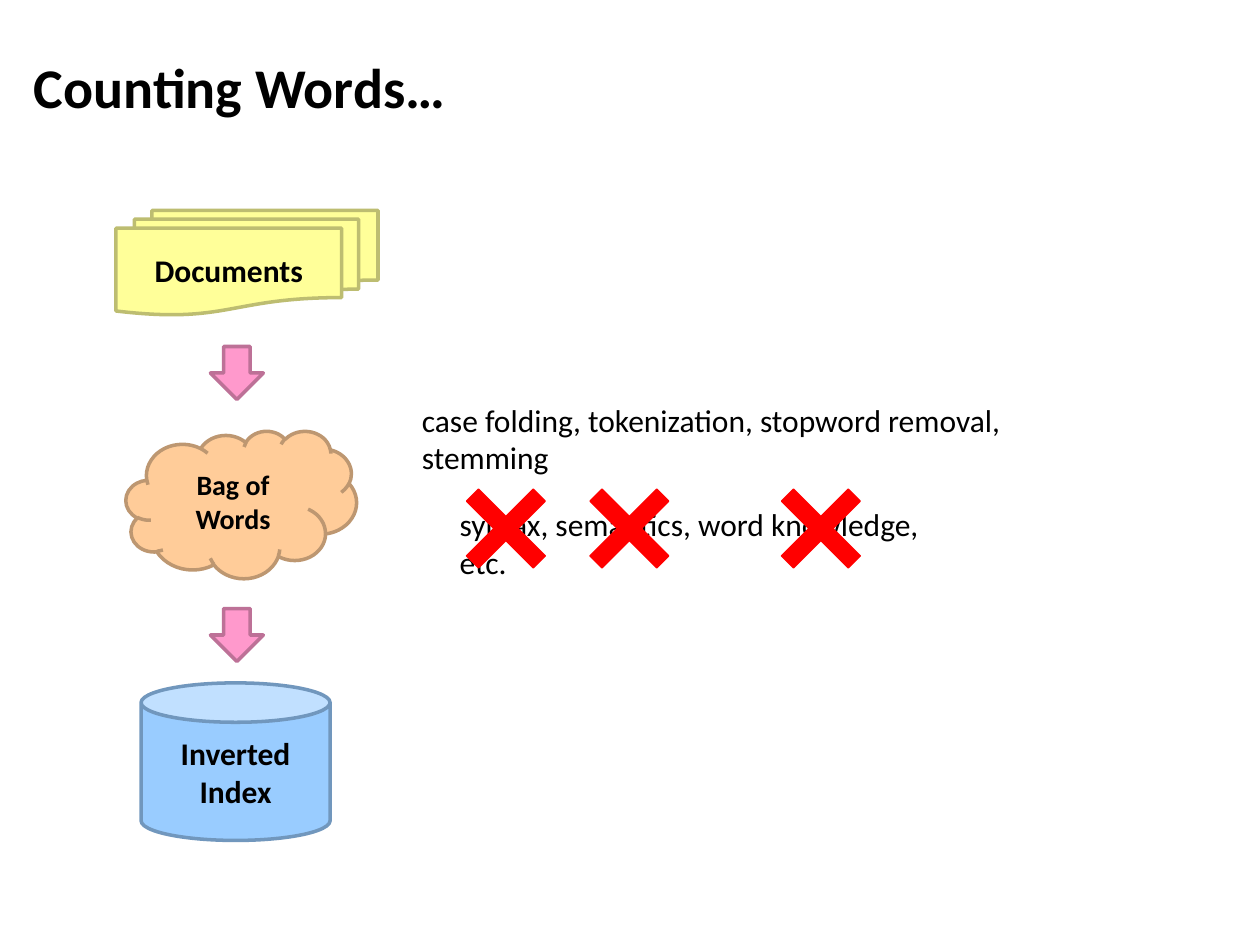
from pptx import Presentation
from pptx.dml.color import RGBColor
from pptx.enum.shapes import MSO_SHAPE
from pptx.enum.text import MSO_ANCHOR, PP_ALIGN
from pptx.util import Inches, Pt

BLACK = RGBColor(0x00, 0x00, 0x00)
RED = RGBColor(0xFF, 0x00, 0x00)
YELLOW = RGBColor(0xFF, 0xFF, 0x99)
DARK_YELLOW = RGBColor(0xBD, 0xBD, 0x71)
BLUE = RGBColor(0x99, 0xCC, 0xFF)
DARK_BLUE = RGBColor(0x71, 0x97, 0xBD)
ORANGE = RGBColor(0xFF, 0xCC, 0x99)
DARK_ORANGE = RGBColor(0xBD, 0x97, 0x71)
PINK = RGBColor(0xFF, 0x99, 0xCC)
DARK_PINK = RGBColor(0xBD, 0x71, 0x97)

presentation = Presentation()
presentation.slide_width = Inches(10)
presentation.slide_height = Inches(7.5)
slide = presentation.slides.add_slide(presentation.slide_layouts[6])


def add_filled_shape(kind, left, top, width, height, fill, line, line_width=2):
    shape = slide.shapes.add_shape(
        kind, Inches(left), Inches(top), Inches(width), Inches(height))
    shape.shadow.inherit = False
    shape.fill.solid()
    shape.fill.fore_color.rgb = fill
    shape.line.color.rgb = line
    shape.line.width = Pt(line_width)
    return shape


def write_text(shape, text, size, bold, wrap, anchor, alignment):
    text_frame = shape.text_frame
    text_frame.text = text
    text_frame.word_wrap = wrap
    text_frame.vertical_anchor = anchor
    for paragraph in text_frame.paragraphs:
        paragraph.alignment = alignment
        for run in paragraph.runs:
            run.font.name = "Calibri"
            run.font.size = Pt(size)
            run.font.bold = bold
            run.font.color.rgb = BLACK


title = slide.shapes.add_textbox(Inches(0.17), Inches(0.12), Inches(9.5), Inches(1.12))
write_text(title, "Counting Words…", 32, True, True, MSO_ANCHOR.MIDDLE, PP_ALIGN.LEFT)

# Processing stages, from documents to index
stages = [
    (MSO_SHAPE.FLOWCHART_MULTIDOCUMENT, 0.92, 1.67, 2.08, 0.83,
     YELLOW, DARK_YELLOW, "Documents", 18, False),
    (MSO_SHAPE.CAN, 1.12, 5.42, 1.5, 1.25,
     BLUE, DARK_BLUE, "Inverted\nIndex", 18, False),
    (MSO_SHAPE.CLOUD, 1, 3.42, 1.83, 1.17,
     ORANGE, DARK_ORANGE, "Bag of Words", 16, True),
]
for kind, left, top, width, height, fill, line, label, size, wrap in stages:
    stage = add_filled_shape(kind, left, top, width, height, fill, line)
    write_text(stage, label, size, True, wrap, MSO_ANCHOR.MIDDLE, PP_ALIGN.CENTER)

for top in (2.75, 4.83):
    arrow = add_filled_shape(
        MSO_SHAPE.RIGHT_ARROW, 1.67, top, 0.42, 0.42, PINK, DARK_PINK)
    arrow.rotation = 90

notes = [
    (3.25, 3.13, 5.8, "case folding, tokenization, stopword removal, stemming"),
    (3.55, 3.96, 4.24, "syntax, semantics, word knowledge, etc."),
]
for left, top, width, text in notes:
    note = slide.shapes.add_textbox(Inches(left), Inches(top), Inches(width), Inches(0.4))
    write_text(note, text, 18, False, True, MSO_ANCHOR.TOP, PP_ALIGN.LEFT)

# Crosses over the ignored kinds of analysis
for left in (3.64, 4.62, 6.14):
    cross = add_filled_shape(MSO_SHAPE.CROSS, left, 3.82, 0.75, 0.75, RED, RED, 0.75)
    cross.adjustments[0] = 0.41
    cross.rotation = 45

presentation.save("out.pptx")
